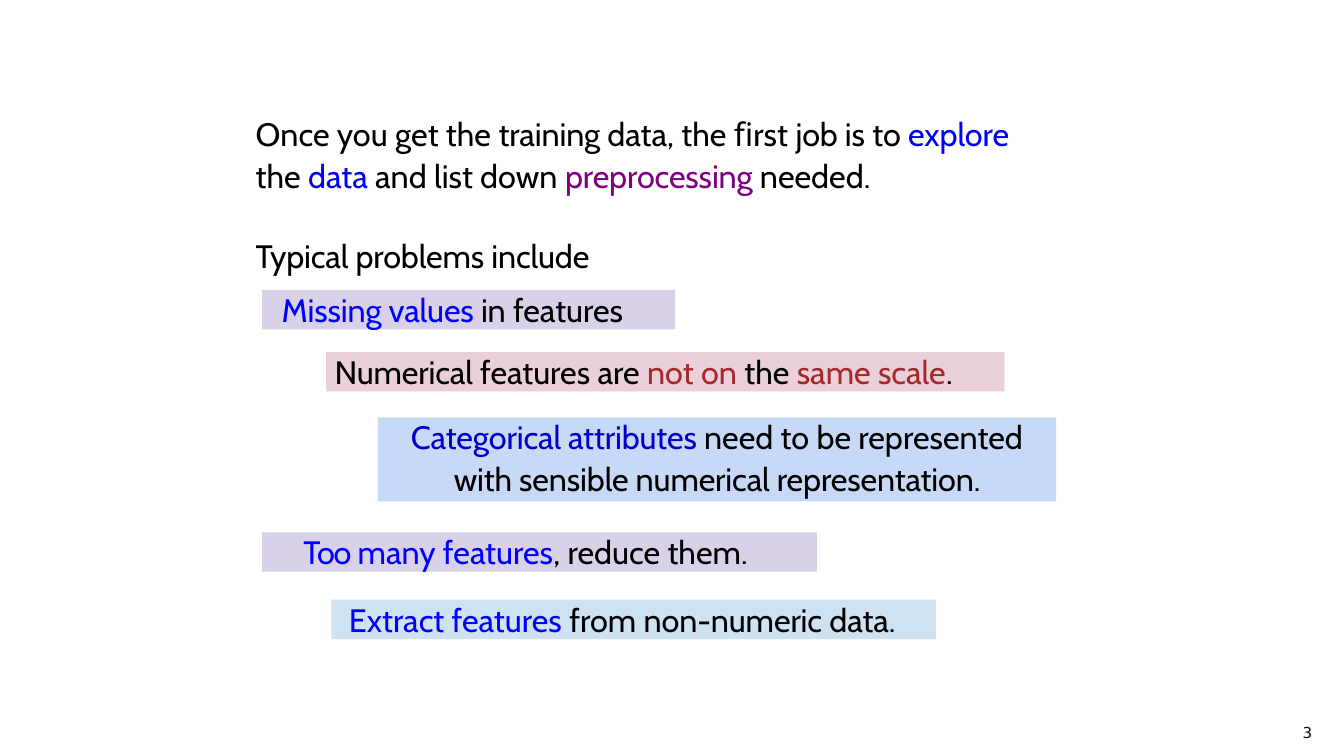
from pptx import Presentation
from pptx.dml.color import RGBColor
from pptx.enum.shapes import MSO_SHAPE
from pptx.enum.text import MSO_ANCHOR, PP_ALIGN
from pptx.util import Pt

RECTANGLE = MSO_SHAPE.RECTANGLE
TOP = MSO_ANCHOR.TOP
LEFT, CENTER = PP_ALIGN.LEFT, PP_ALIGN.CENTER

BLACK, BLUE, PURPLE = "000000", "0000FF", "800080"
NAVY, BROWN, GREY = "0000CC", "A52929", "111111"
LILAC, ROSE, PERIWINKLE, SKY = "D9D1E8", "E9D0DB", "C8D9F7", "CFE2F2"


def color(hex_code):
    return RGBColor.from_string(hex_code)


def write(frame, paragraphs, indent=0, top=0, size=22.5, font="Cabin"):
    """Each paragraph is (format values, runs); a run is (text, colour, spacing)."""
    frame_format = {
        "word_wrap": True, "vertical_anchor": TOP,
        "margin_left": Pt(indent), "margin_top": Pt(top),
        "margin_right": 0, "margin_bottom": 0,
    }
    for name, value in frame_format.items():
        setattr(frame, name, value)
    for index, (paragraph_format, runs) in enumerate(paragraphs):
        paragraph = frame.add_paragraph() if index else frame.paragraphs[0]
        for name, value in ({"alignment": LEFT} | paragraph_format).items():
            setattr(paragraph, name, value)
        for text, hex_code, spacing in runs:
            run = paragraph.add_run()
            run.text = text
            for name, value in {"size": Pt(size), "name": font}.items():
                setattr(run.font, name, value)
            run.font.color.rgb = color(hex_code)
            if spacing:
                run.font._element.set("spc", str(round(spacing * 100)))


deck = Presentation()
deck.slide_width, deck.slide_height = Pt(934.56), Pt(525.6)
slide = deck.slides.add_slide(deck.slide_layouts[6])

# Slide number
page_number = slide.shapes.add_textbox(Pt(902.9), Pt(504), Pt(23), Pt(11.2))
write(page_number.text_frame,
      [({"line_spacing": Pt(11.2)}, [("3", GREY, -0.8)])],
      indent=2.9, size=10.5, font="DejaVu Sans")

# Introduction
introduction = slide.shapes.add_textbox(Pt(177.1), Pt(75.6), Pt(553.7), Pt(115.9))
write(introduction.text_frame, [
    ({"line_spacing": 1.08}, [
        ("Once you get the ", BLACK, 0),
        ("training ", BLACK, -0.1),
        ("data, the ﬁrst ", BLACK, 0),
        ("job is ", BLACK, -0.1),
        ("to ", BLACK, 0),
        ("explore ", BLUE, -0.1),
        ("the ", BLACK, 0),
        ("data ", BLUE, 0),
        ("and list down ", BLACK, 0),
        ("preprocessing ", PURPLE, -0.1),
        ("needed.", BLACK, 0),
    ]),
    ({"space_before": Pt(28.5)}, [("Typical problems include", BLACK, -0.1)]),
], indent=0.7, top=1.7)

# Typical problems: left, top, width, height, fill, indent, paragraphs
problems = [
    (182.2, 201.6, 287.3, 27.4, LILAC, 13.7, [
        ({}, [("Missing values ", BLUE, -0.1), ("in ", BLACK, -0.1),
              ("features", BLACK, 0)]),
    ]),
    (226.8, 244.8, 471.6, 27.4, ROSE, 5.8, [
        ({}, [("Numerical ", BLACK, -0.1), ("features are ", BLACK, 0),
              ("not on ", BROWN, 0), ("the ", BLACK, 0),
              ("same scale", BROWN, 0), (".", BLACK, 0)]),
    ]),
    (262.8, 290.2, 471.6, 58.3, PERIWINKLE, 0, [
        ({"alignment": CENTER}, [("Categorical attributes ", NAVY, -0.1),
                                 ("need to be represented", BLACK, 0)]),
        ({"alignment": CENTER, "space_before": Pt(2.2)},
         [("with sensible numerical representation.", BLACK, -0.1)]),
    ]),
    (182.2, 370.1, 385.9, 27.4, LILAC, 28.8, [
        ({}, [("Too ", BLUE, -0.8), ("many features", BLUE, 0),
              (", reduce them.", BLACK, 0)]),
    ]),
    (230.4, 416.9, 420.5, 27.4, SKY, 12.2, [
        ({}, [("Extract features ", BLUE, 0), ("from ", BLACK, 0),
              ("non-numeric ", BLACK, -0.1), ("data.", BLACK, 0)]),
    ]),
]
for left, top, width, height, fill, indent, paragraphs in problems:
    problem = slide.shapes.add_shape(
        RECTANGLE, Pt(left), Pt(top), Pt(width), Pt(height))
    problem.shadow.inherit = False
    problem.fill.solid()
    problem.fill.fore_color.rgb = color(fill)
    problem.line.fill.background()
    write(problem.text_frame, paragraphs, indent)

deck.save("out.pptx")
